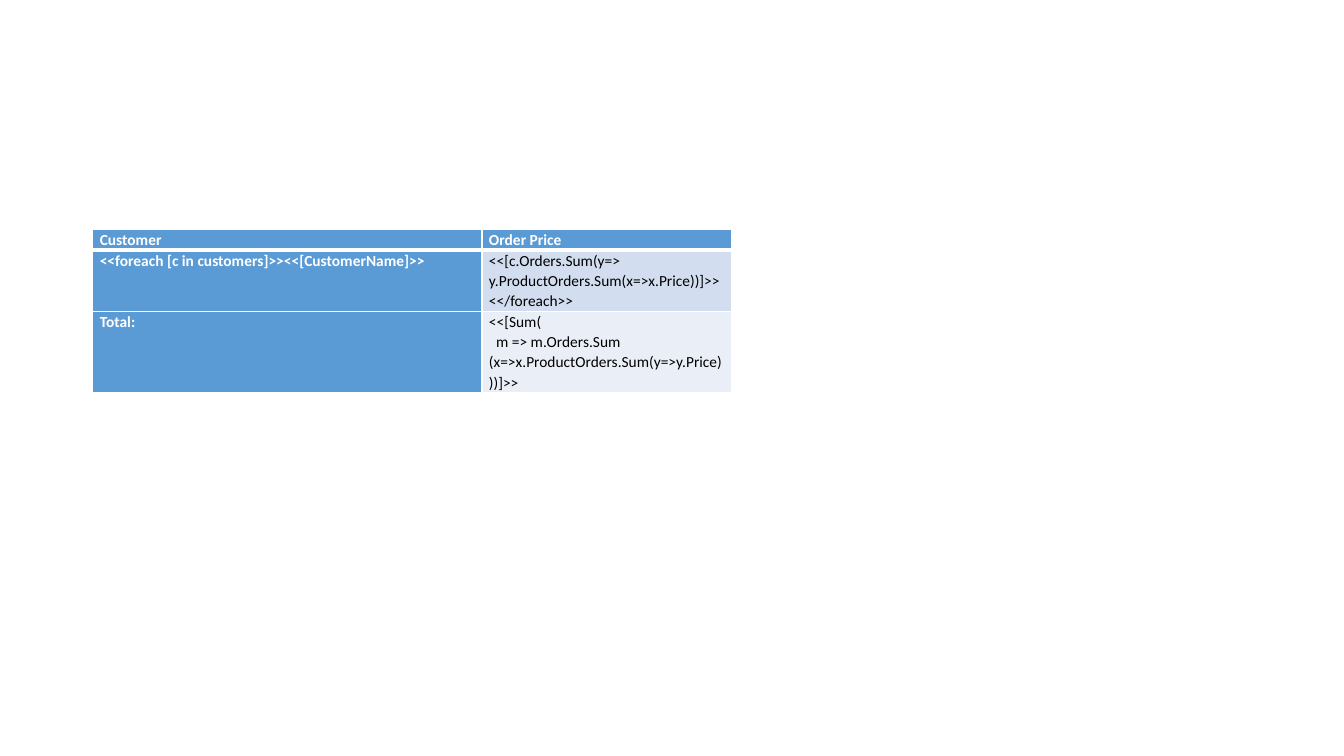
from dataclasses import dataclass

from lxml import etree
from pptx import Presentation
from pptx.dml.color import RGBColor
from pptx.oxml.ns import qn
from pptx.util import Inches, Pt


@dataclass(frozen=True)
class Theme:
    font: str = "Calibri"
    size: float = 11
    line_spacing: float = 1.07
    white: str = "FFFFFF"
    black: str = "000000"
    heading: str = "5B9BD5"
    bands: tuple = ("D2DEEF", "EAEFF7")
    thin: float = 1
    thick: float = 3


THEME = Theme()
BLANK_LAYOUT = 6
COLUMN_WIDTHS = (3.86, 2.48)
ROW_HEIGHTS = (0.2, 0.6, 0.8)
CODE_INDENT = Inches(0.07)

# Each cell is a list of paragraphs
ORDER_ROWS = (
    (["Customer"], ["Order Price"]),
    (
        ["<<foreach [c in customers]>><<[CustomerName]>>"],
        ["<<[c.Orders.Sum(y=> y.ProductOrders.Sum(x=>x.Price))]>><</foreach>>"],
    ),
    (
        ["Total:"],
        ["<<[Sum(", "m => m.Orders.Sum (x=>x.ProductOrders.Sum(y=>y.Price)))]>>"],
    ),
)


def set_borders(cell, widths):
    """Draw white borders; widths are left, right, top and bottom in points."""
    properties = cell._tc.get_or_add_tcPr()
    for position, (side, width) in enumerate(zip("LRTB", widths)):
        line = etree.Element(qn(f"a:ln{side}"), w=str(Pt(width)))
        fill = etree.SubElement(line, qn("a:solidFill"))
        etree.SubElement(fill, qn("a:srgbClr"), val=THEME.white)
        properties.insert(position, line)


def write_cell(cell, lines, color, bold):
    cell.margin_left = cell.margin_right = Inches(0.07)
    cell.margin_top = cell.margin_bottom = 0
    frame = cell.text_frame
    frame.text = "\n".join(lines)
    for number, para in enumerate(frame.paragraphs):
        para.line_spacing = THEME.line_spacing
        para.font.name = THEME.font
        para.font.size = Pt(THEME.size)
        para.font.bold = bold
        para.font.color.rgb = RGBColor.from_string(color)
        # Code that continues an expression is indented
        if number > 0:
            para._p.get_or_add_pPr().set("indent", str(CODE_INDENT))


def style_cell(cell, row, is_heading):
    band = THEME.bands[(row - 1) % len(THEME.bands)]
    cell.fill.solid()
    cell.fill.fore_color.rgb = RGBColor.from_string(THEME.heading if is_heading else band)
    top = THEME.thick if row == 1 else THEME.thin
    bottom = THEME.thick if row == 0 else THEME.thin
    set_borders(cell, (THEME.thin, THEME.thin, top, bottom))


def add_order_table(page):
    table = page.shapes.add_table(
        len(ORDER_ROWS), len(COLUMN_WIDTHS), Inches(0.92), Inches(2.28),
        Inches(sum(COLUMN_WIDTHS)), Inches(sum(ROW_HEIGHTS)),
    ).table
    table.first_col = True
    for column, width in zip(table.columns, COLUMN_WIDTHS):
        column.width = Inches(width)
    for table_row, height in zip(table.rows, ROW_HEIGHTS):
        table_row.height = Inches(height)
    for row, contents in enumerate(ORDER_ROWS):
        for column, lines in enumerate(contents):
            cell = table.cell(row, column)
            is_heading = row == 0 or column == 0
            write_cell(cell, lines, THEME.white if is_heading else THEME.black, is_heading)
            style_cell(cell, row, is_heading)


def main():
    # Deck and page
    deck = Presentation()
    deck.slide_width, deck.slide_height = Inches(13.33), Inches(7.5)
    page = deck.slides.add_slide(deck.slide_layouts[BLANK_LAYOUT])

    # Customer orders
    add_order_table(page)
    deck.save("out.pptx")


if __name__ == "__main__":
    main()
